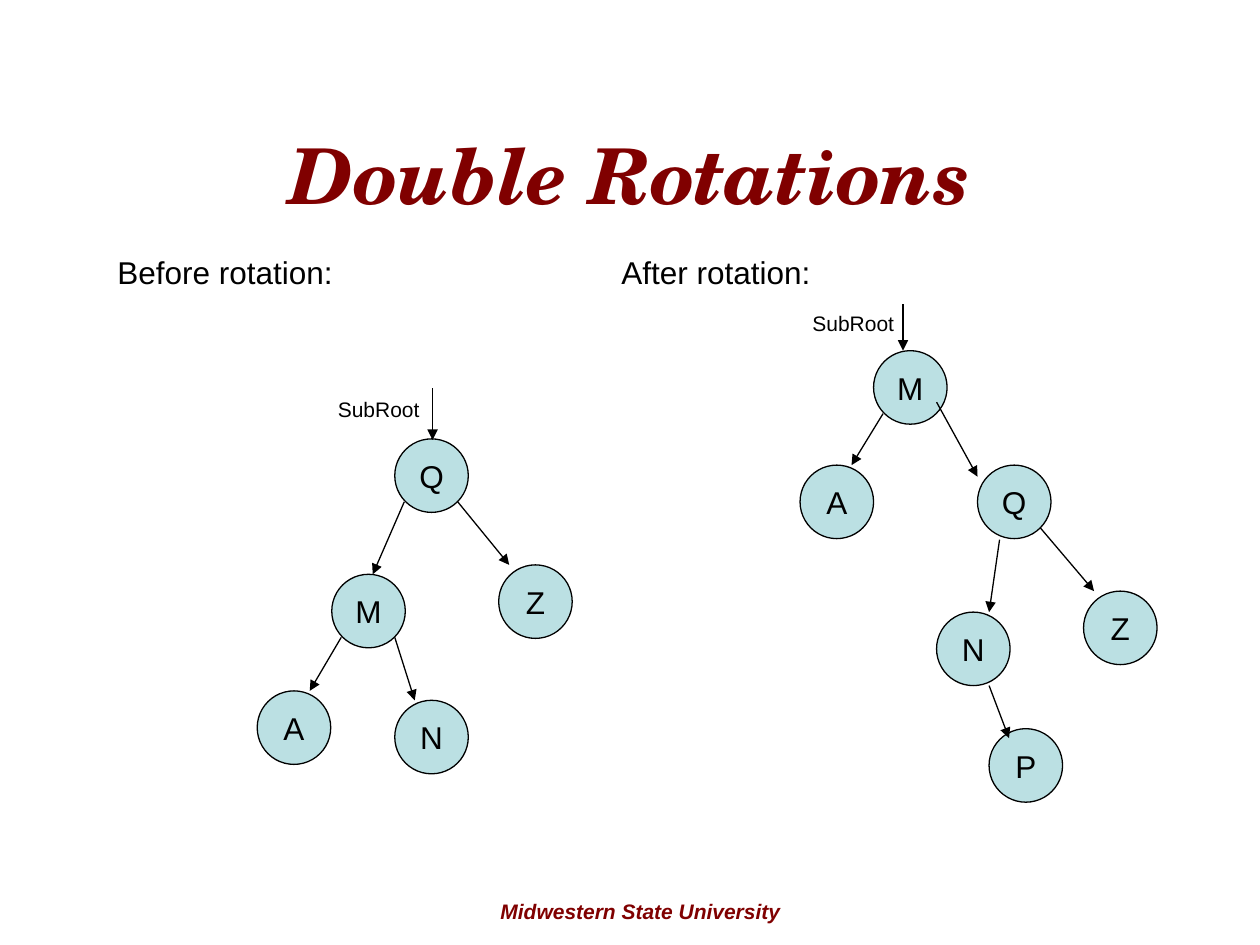
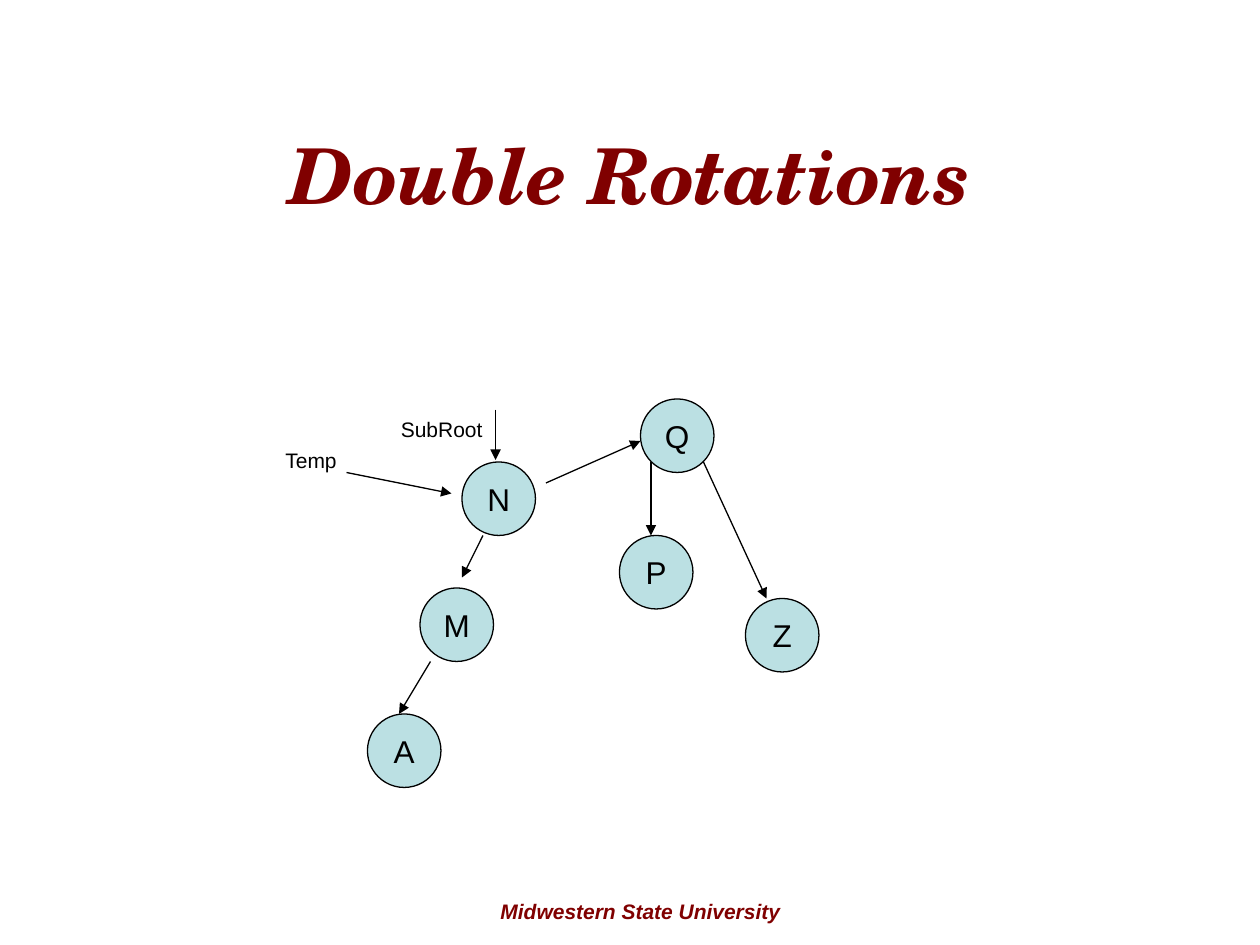
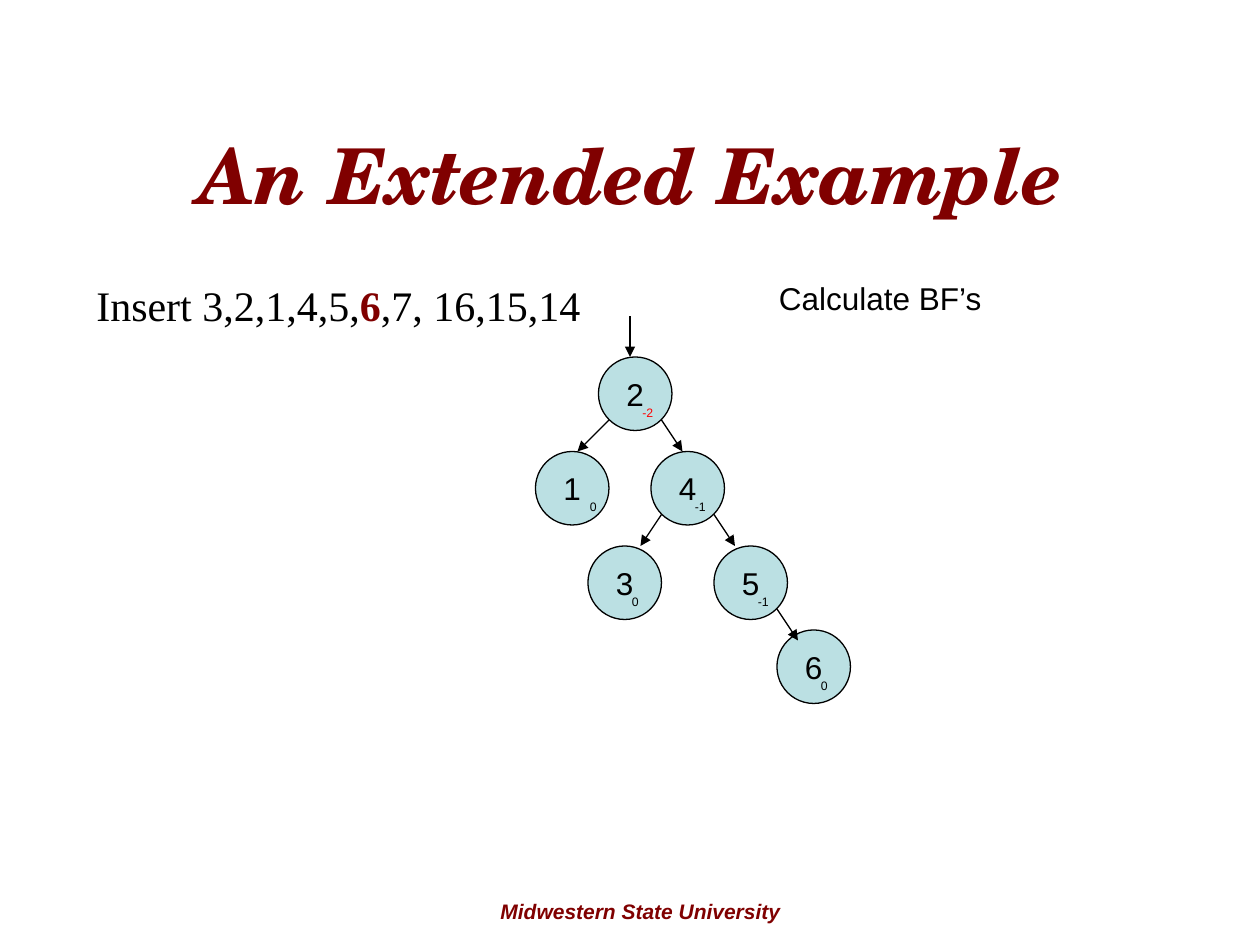
from pptx import Presentation
from pptx.dml.color import RGBColor
from pptx.enum.shapes import MSO_CONNECTOR, MSO_SHAPE
from pptx.enum.text import MSO_ANCHOR, PP_ALIGN
from pptx.oxml.ns import qn
from pptx.util import Emu, Pt
from lxml.etree import SubElement

PX = 7620  # EMU per px, 120 px to the inch
COLORS = {"ink": "000000", "maroon": "800000", "node": "BBE0E3", "alert": "FF0000"}
NODE = 70
BALANCE_SHIFT = (30, 40)
HEIGHTS = {7: 26, 12: 36, 18: 48, 24: 60}  # one-line box height by text size
FOOTER = "Midwestern State University"

# Labels: (runs as (text, color, bold), x, y, width, size, font)
# Nodes: name, x, y; arrows: start x, y, end x, y
# Balance factors: node, value, color, extra shift, width
SLIDES = [
    {
        "title": "Double Rotations",
        "labels": [
            ([("Before rotation:\t\t\tAfter rotation:", "ink", False)], 100, 235, 1030, 18, "Arial"),
            ([("SubRoot", "ink", False)], 762, 290, 120, 12, "Arial"),
            ([("SubRoot", "ink", False)], 310, 372, 120, 12, "Arial"),
        ],
        "nodes": [
            ("Q", 376, 418), ("M", 316, 547), ("A", 245, 658), ("N", 376, 667), ("Z", 475, 538),
            ("M", 832, 334), ("A", 762, 443), ("Q", 931, 443), ("N", 892, 583), ("Z", 1032, 563),
            ("P", 942, 694),
        ],
        "arrows": [
            (412, 370, 412, 419), (385, 478, 355, 547), (436, 478, 485, 538),
            (325, 607, 295, 658), (376, 607, 395, 667),
            (860, 290, 860, 334), (841, 394, 811, 443), (892, 383, 931, 454),
            (952, 514, 942, 583), (991, 503, 1042, 563), (942, 653, 961, 703),
        ],
    },
    {
        "title": "Double Rotations",
        "labels": [
            ([("Temp", "ink", False)], 260, 420, 80, 12, "Arial"),
            ([("SubRoot", "ink", False)], 370, 391, 120, 12, "Arial"),
        ],
        "nodes": [
            ("N", 440, 440), ("M", 400, 560), ("A", 350, 680),
            ("Q", 610, 380), ("P", 590, 510), ("Z", 710, 570),
        ],
        "arrows": [
            (330, 450, 430, 470), (472, 390, 472, 438), (460, 510, 440, 550),
            (410, 630, 380, 680), (520, 460, 610, 420), (620, 440, 620, 510),
            (670, 440, 730, 570),
        ],
    },
    {
        "title": "An Extended Example",
        "labels": [
            ([("Insert 3,2,1,4,5,", "ink", False), ("6", "maroon", True), (",7, 16,15,14", "ink", False)],
             80, 260, 850, 24, "Times New Roman"),
            ([("Calculate BF’s", "ink", False)], 730, 260, 400, 18, "Arial"),
        ],
        "nodes": [
            ("2", 570, 340), ("1", 510, 430), ("4", 620, 430),
            ("3", 560, 520), ("5", 680, 520), ("6", 740, 600),
        ],
        "arrows": [
            (600, 301, 600, 340), (580, 400, 550, 430), (630, 400, 650, 430),
            (630, 490, 610, 520), (680, 490, 700, 520), (740, 580, 760, 610),
        ],
        "balances": [
            ("2", "-2", "alert", 0, 40), ("1", "0", "ink", 10, 28), ("4", "-1", "ink", 0, 40),
            ("3", "0", "ink", 0, 40), ("5", "-1", "ink", 0, 40), ("6", "0", "ink", 0, 40),
        ],
    },
]


def px(*values):
    return [Emu(v * PX) for v in values]


def rgb(name):
    return RGBColor.from_string(COLORS[name])


def style(font, size, color="ink", name="Arial", bold=False, italic=False):
    font.size, font.name, font.bold, font.italic = Pt(size), name, bold, italic
    font.color.rgb = rgb(color)


def add_text(s, runs, x, y, w, h, size, name="Arial", align=PP_ALIGN.LEFT, italic=False):
    tf = s.shapes.add_textbox(*px(x, y, w, h)).text_frame
    tf.word_wrap = True
    p = tf.paragraphs[0]
    p.alignment = align
    for text, color, bold in runs:
        if "\t" in text:
            add_tab_stops(p)
        r = p.add_run()
        r.text = text
        style(r.font, size, color, name, bold, italic)
    return tf


def add_tab_stops(p):
    tabs = SubElement(p._p.get_or_add_pPr(), qn("a:tabLst"))
    for inch in range(1, 8):
        SubElement(tabs, qn("a:tab"), pos=str(inch * 120 * PX), algn="l")


def add_node(s, name, x, y):
    sp = s.shapes.add_shape(MSO_SHAPE.OVAL, *px(x, y, NODE, NODE))
    sp.shadow.inherit = False
    sp.fill.solid()
    sp.fill.fore_color.rgb = rgb("node")
    sp.line.color.rgb = rgb("ink")
    sp.line.width = Pt(0.75)
    tf = sp.text_frame
    tf.text = name
    tf.word_wrap = False
    tf.vertical_anchor = MSO_ANCHOR.MIDDLE
    p = tf.paragraphs[0]
    p.alignment = PP_ALIGN.CENTER
    style(p.runs[0].font, 18)


def add_arrow(s, *ends):
    line = s.shapes.add_connector(MSO_CONNECTOR.STRAIGHT, *px(*ends))
    line.line.color.rgb = rgb("ink")
    line.line.width = Pt(0.75)
    SubElement(line.line._get_or_add_ln(), qn("a:tailEnd"), type="triangle")
    SubElement(line._element.spPr, qn("a:effectLst"))


def add_frame(s, title):
    add_text(s, [(FOOTER, "maroon", True)], 420, 850, 380, HEIGHTS[12], 12,
             align=PP_ALIGN.CENTER, italic=True)
    tf = add_text(s, [(title, "maroon", True)], 60, 90, 1080, 150, 44, "TeX Gyre Schola",
                  PP_ALIGN.CENTER, italic=True)
    tf.vertical_anchor = MSO_ANCHOR.MIDDLE


def main():
    prs = Presentation()
    prs.slide_width, prs.slide_height = px(1200, 900)
    for content in SLIDES:
        s = prs.slides.add_slide(prs.slide_layouts[6])
        add_frame(s, content["title"])
        for runs, x, y, w, size, font in content["labels"]:
            add_text(s, runs, x, y, w, HEIGHTS[size], size, font)
        # Trees: arrows lie over the nodes
        for node in content["nodes"]:
            add_node(s, *node)
        for ends in content["arrows"]:
            add_arrow(s, *ends)
        # Balance factors at the lower right of their nodes
        places = {name: (x, y) for name, x, y in content["nodes"]}
        dx, dy = BALANCE_SHIFT
        for name, value, color, extra, w in content.get("balances", []):
            x, y = places[name]
            add_text(s, [(value, color, False)], x + dx + extra, y + dy, w, HEIGHTS[7], 7)
    prs.save("out.pptx")


if __name__ == "__main__":
    main()
